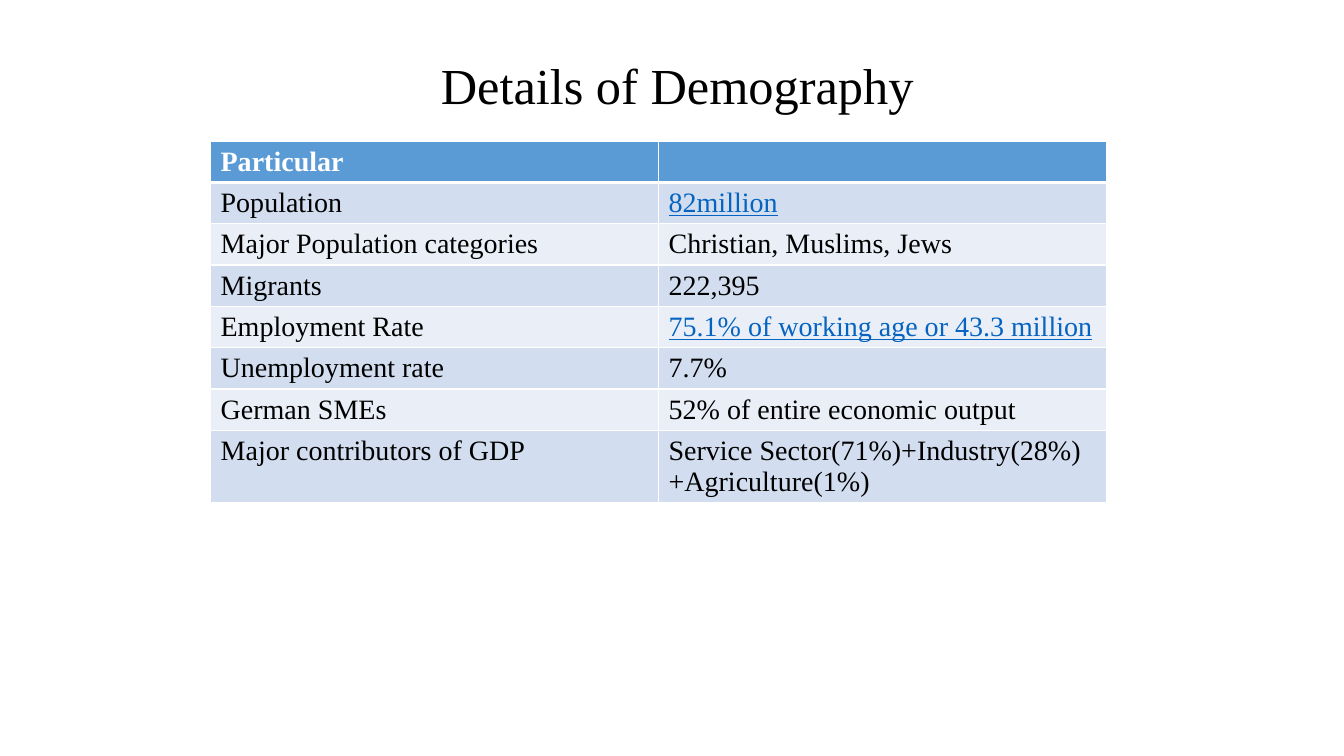
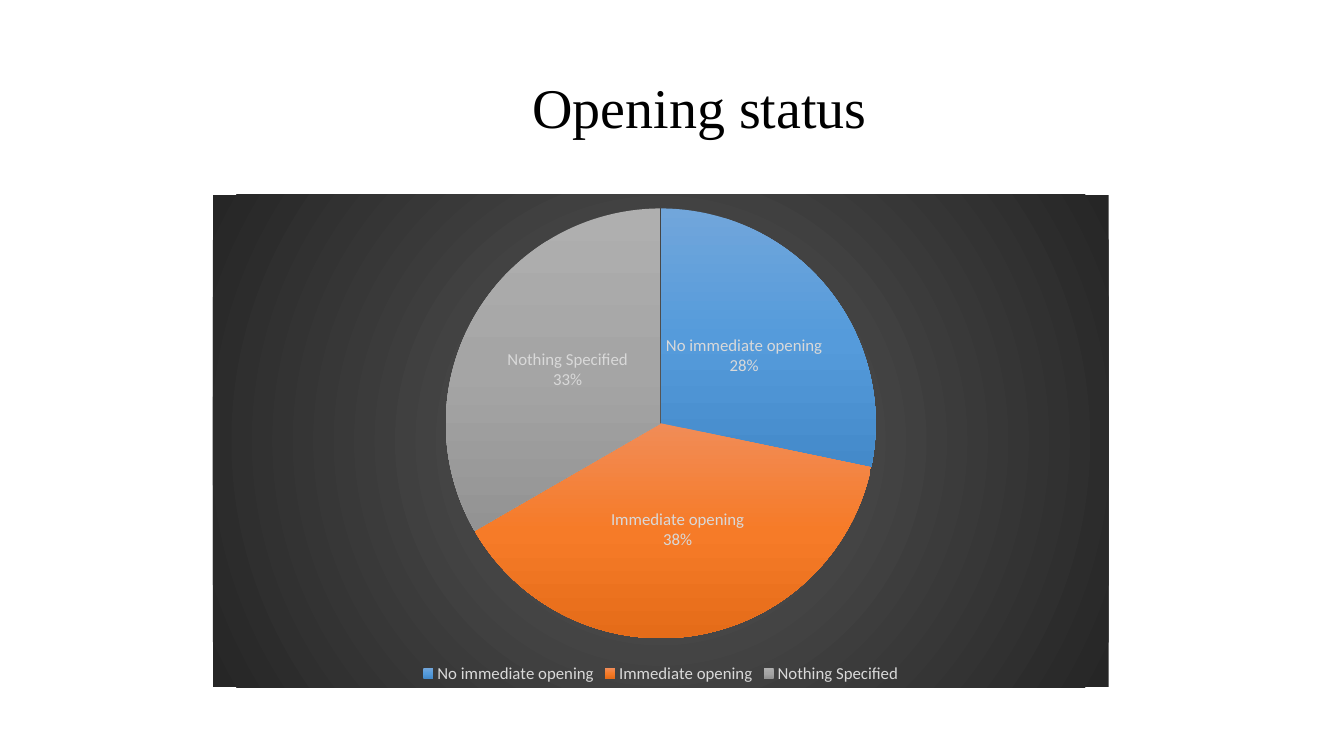
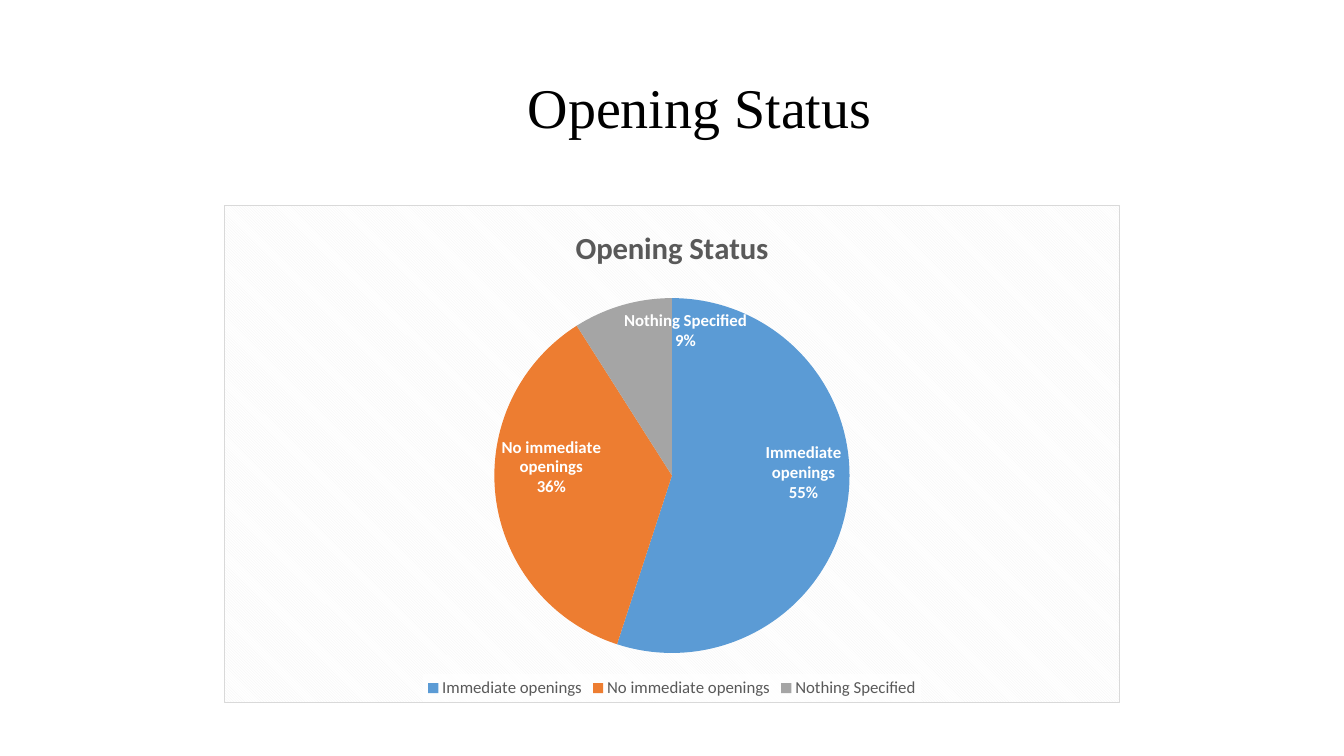
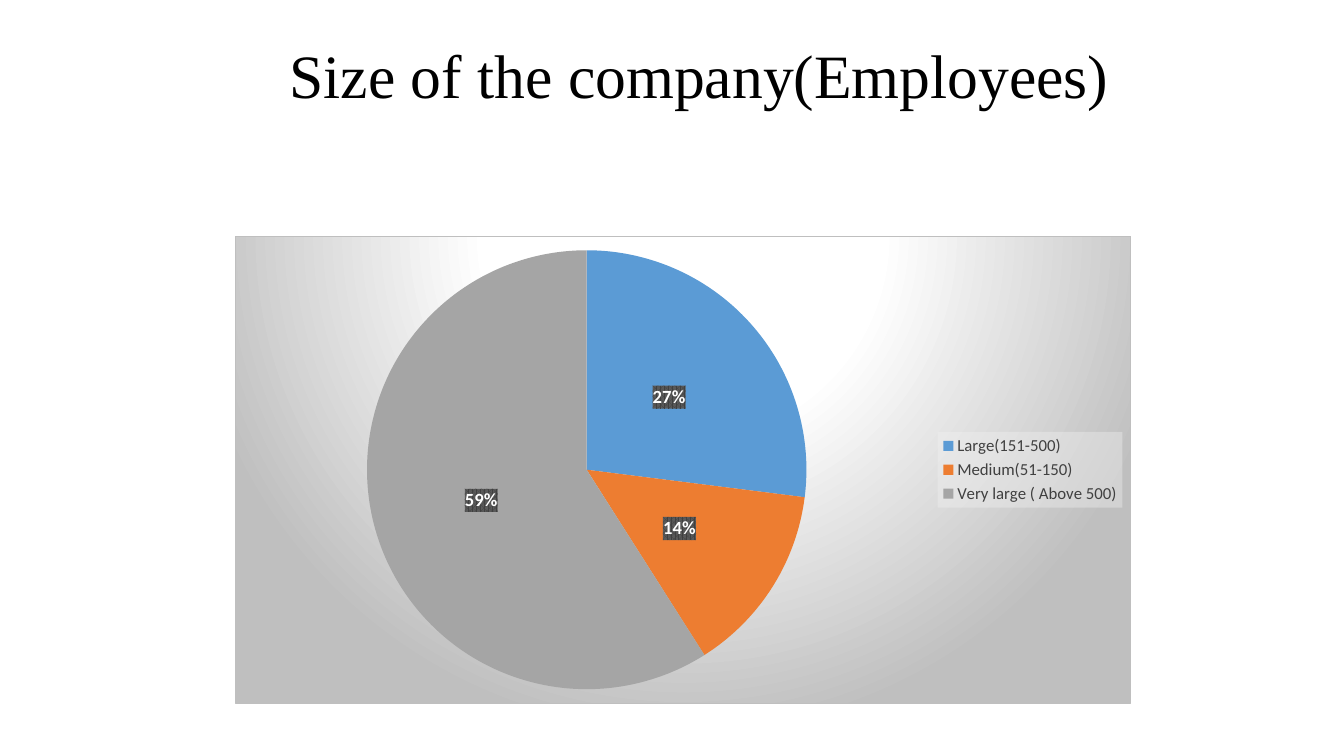
from collections import namedtuple

from pptx import Presentation
from pptx.chart.data import CategoryChartData
from pptx.dml.color import RGBColor
from pptx.enum.chart import XL_CHART_TYPE as ChartType
from pptx.enum.chart import XL_LABEL_POSITION as LabelPosition
from pptx.enum.chart import XL_LEGEND_POSITION as LegendPosition
from pptx.enum.text import MSO_ANCHOR, MSO_AUTO_SIZE, PP_ALIGN
from pptx.oxml import parse_xml
from pptx.oxml.ns import qn
from pptx.util import Inches, Pt

Box = namedtuple("Box", "column row columns rows")

SLIDE_WIDTH, SLIDE_HEIGHT = Inches(13.333), Inches(7.5)
COLUMN, ROW = SLIDE_WIDTH / 120, SLIDE_HEIGHT / 75
TITLE_ONLY = 5
SERIF, SANS = "Times New Roman", "Calibri"

BLACK = RGBColor(0x00, 0x00, 0x00)
WHITE = RGBColor(0xFF, 0xFF, 0xFF)
BLUE = RGBColor(0x5B, 0x9B, 0xD5)
ORANGE = RGBColor(0xED, 0x7D, 0x31)
GRAY = RGBColor(0xA5, 0xA5, 0xA5)
LINK_BLUE = RGBColor(0x05, 0x63, 0xC1)
BANDS = (RGBColor(0xD2, 0xDE, 0xEF), RGBColor(0xEA, 0xEF, 0xF7))
CHARCOAL = RGBColor(0x26, 0x26, 0x26)
DARK = RGBColor(0x40, 0x40, 0x40)
SLATE = RGBColor(0x59, 0x59, 0x59)
SILVER = RGBColor(0xBF, 0xBF, 0xBF)
PALE = RGBColor(0xD9, 0xD9, 0xD9)
MIST = RGBColor(0xF2, 0xF2, 0xF2)
GLOSSY_BLUE = (RGBColor(0x71, 0xA6, 0xDB), RGBColor(0x55, 0x9B, 0xDB), RGBColor(0x44, 0x8A, 0xCA))
GLOSSY_ORANGE = (RGBColor(0xF1, 0x8C, 0x57), RGBColor(0xF6, 0x7B, 0x28), RGBColor(0xE5, 0x6C, 0x19))
GLOSSY_GRAY = (RGBColor(0xAF, 0xAF, 0xAF), GRAY, RGBColor(0x93, 0x93, 0x93))

DRAWING = 'xmlns:a="http://schemas.openxmlformats.org/drawingml/2006/main"'
CHART = 'xmlns:c="http://schemas.openxmlformats.org/drawingml/2006/chart"'

DEMOGRAPHY = (
    ("Particular", ""),
    ("Population", "82million"),
    ("Major Population categories", "Christian, Muslims, Jews"),
    ("Migrants", "222,395"),
    ("Employment Rate", "75.1% of working age or 43.3 million"),
    ("Unemployment rate", "7.7%"),
    ("German SMEs", "52% of entire economic output"),
    ("Major contributors of GDP", "Service Sector(71%)+Industry(28%)+Agriculture(1%)"),
)
LINKED = ("82million", "75.1% of working age or 43.3 million")


def place(box):
    """Turn grid columns and rows into left, top, width and height."""
    return (round(box.column * COLUMN), round(box.row * ROW),
            round(box.columns * COLUMN), round(box.rows * ROW))


def style_font(font, name=SANS, size=12, color=BLACK, bold=False, underline=False):
    """Set the look of a font."""
    font.name, font.size, font.bold, font.underline = name, Pt(size), bold, underline
    font.color.rgb = color


def write(frame, text, align=PP_ALIGN.LEFT, spacing=None, **style):
    """Write one formatted paragraph into a text frame."""
    paragraph = frame.paragraphs[0]
    paragraph.alignment = align
    paragraph.line_spacing = spacing
    run = paragraph.add_run()
    run.text = text
    style_font(run.font, **style)


def solid(color, alpha=100):
    """Describe a solid fill, opaque to the given percentage."""
    return (f'<a:solidFill><a:srgbClr val="{color}"><a:alpha val="{alpha * 1000}"/>'
            '</a:srgbClr></a:solidFill>')


def pattern(preset, front, back):
    """Describe a two-colour pattern fill."""
    return (f'<a:pattFill prst="{preset}"><a:fgClr><a:srgbClr val="{front}"/></a:fgClr>'
            f'<a:bgClr><a:srgbClr val="{back}"/></a:bgClr></a:pattFill>')


def gradient(stops, focus=None):
    """Describe a gradient: downward, or circular around a focus."""
    marks = "".join(f'<a:gs pos="{share * 1000}"><a:srgbClr val="{color}"/></a:gs>'
                    for share, color in stops)
    if focus:
        sides = " ".join(f'{side}="{share * 1000}"' for side, share in zip("ltrb", focus))
        course = f'<a:path path="circle"><a:fillToRect {sides}/></a:path>'
    else:
        course = '<a:lin ang="5400000" scaled="0"/>'
    return f'<a:gradFill rotWithShape="1"><a:gsLst>{marks}</a:gsLst>{course}</a:gradFill>'


def chart_properties(fill, border=None):
    """Build the fill and outline element of a chart part."""
    outline = (f'<a:ln w="{Pt(0.75)}">{solid(border)}</a:ln>' if border
               else '<a:ln><a:noFill/></a:ln>')
    return parse_xml(f'<c:spPr {CHART} {DRAWING}>{fill}{outline}</c:spPr>')


def border_cell(cell, **widths):
    """Draw white cell borders, with widths in points by side tag."""
    properties = cell._tc.get_or_add_tcPr()
    for index, (side, width) in enumerate(widths.items()):
        properties.insert(index, parse_xml(
            f'<a:{side} {DRAWING} w="{Pt(width)}">{solid(WHITE)}</a:{side}>'))


def add_titled_slide(presentation, title, box, size):
    """Add a slide with a centred serif title."""
    slide = presentation.slides.add_slide(presentation.slide_layouts[TITLE_ONLY])
    shape = slide.shapes.title
    shape.left, shape.top, shape.width, shape.height = place(box)
    frame = shape.text_frame
    frame.auto_size = MSO_AUTO_SIZE.NONE
    frame.vertical_anchor = MSO_ANCHOR.MIDDLE
    write(frame, title, align=PP_ALIGN.CENTER, spacing=0.9, name=SERIF, size=size)
    return slide


def add_banded_table(slide, box, rows, linked):
    """Add a table with a header row and alternating bands."""
    table = slide.shapes.add_table(len(rows), len(rows[0]), *place(box)).table
    for index, texts in enumerate(rows):
        header = index == 0
        for column, text in enumerate(texts):
            cell = table.cell(index, column)
            cell.fill.solid()
            cell.fill.fore_color.rgb = BLUE if header else BANDS[(index - 1) % 2]
            border_cell(cell, lnL=1, lnR=1, lnT=3 if index == 1 else 1, lnB=3 if header else 1)
            if text:
                color = WHITE if header else LINK_BLUE if text in linked else BLACK
                write(cell.text_frame, text, name=SERIF, size=20, color=color,
                      bold=header, underline=text in linked)


def add_pie(slide, box, values, slices, background, border=None, title=None):
    """Add a pie chart with one fill per slice on a filled background."""
    data = CategoryChartData()
    data.categories = list(values)
    data.add_series("Series 1", list(values.values()))
    chart = slide.shapes.add_chart(ChartType.PIE, *place(box), data).chart
    style_font(chart.font, size=10)
    chart._chartSpace.find(qn("c:chart")).addnext(chart_properties(background, border))
    chart.has_title = bool(title)
    if title:
        write(chart.chart_title.text_frame, title, align=PP_ALIGN.CENTER,
              size=22, color=SLATE, bold=True)
    plot = chart.plots[0]
    plot.vary_by_categories = True
    for index, fill in enumerate(slices):
        point = plot.series[0].points[index]
        point.format.fill.background()
        old = point.format.fill._xPr
        old.getparent().replace(old, chart_properties(fill))
    return chart


def style_legend(chart, position, color, fill=None):
    """Show the legend beside the pie, optionally on a filled panel."""
    chart.has_legend = True
    legend = chart.legend
    legend.position = position
    legend.include_in_layout = False
    style_font(legend.font, color=color)
    if fill:
        legend._element.find(qn("c:txPr")).addprevious(chart_properties(fill))


def style_labels(chart, position, names=True, fill=None, **style):
    """Label the slices with percentages and, if wanted, their names."""
    labels = chart.plots[0].series[0].data_labels
    labels.show_percentage = True
    labels.show_category_name = names
    labels.show_value = False
    labels.show_legend_key = False
    labels.number_format, labels.number_format_is_linked = "0%", False
    labels.position = position
    style_font(labels.font, **style)
    if fill:
        labels._element.find(qn("c:txPr")).addprevious(chart_properties(fill))


def add_demography_slide(presentation):
    """Add the table of demographic details."""
    slide = add_titled_slide(presentation, "Details of Demography",
                             Box(8.73, 4.9, 103.5, 7.7), 36)
    add_banded_table(slide, Box(18.8, 14, 80, 32.8), DEMOGRAPHY, LINKED)


def add_dark_status_slide(presentation):
    """Add the opening status pie on a dark background."""
    slide = add_titled_slide(presentation, "Opening status", Box(10.71, 3.7, 103.5, 14.5), 40)
    values = {"No immediate opening": 28, "Immediate opening": 38, "Nothing Specified": 33}
    slices = [gradient(zip((0, 50, 100), colors))
              for colors in (GLOSSY_BLUE, GLOSSY_ORANGE, GLOSSY_GRAY)]
    backdrop = gradient(((0, SLATE), (100, CHARCOAL)), focus=(50, 50, 50, 50))
    chart = add_pie(slide, Box(19, 19.3, 80, 48.9), values, slices, backdrop)
    style_legend(chart, LegendPosition.BOTTOM, PALE)
    style_labels(chart, LabelPosition.CENTER, color=PALE)


def add_light_status_slide(presentation):
    """Add the opening status pie on a striped background."""
    slide = add_titled_slide(presentation, "Opening Status", Box(10.71, 3.7, 103.5, 14.5), 40)
    values = {"Immediate openings": 55, "No immediate openings": 36, "Nothing Specified": 9}
    slices = [solid(color) for color in (BLUE, ORANGE, GRAY)]
    chart = add_pie(slide, Box(20, 20.3, 80, 49.4), values, slices,
                    pattern("dkDnDiag", MIST, WHITE), border=PALE, title="Opening Status")
    style_legend(chart, LegendPosition.BOTTOM, SLATE, fill=solid(WHITE, 78))
    style_labels(chart, LabelPosition.INSIDE_END, color=WHITE, bold=True)


def add_company_size_slide(presentation):
    """Add the company size pie with its legend on the right."""
    slide = add_titled_slide(presentation, "Size of the company(Employees)",
                             Box(10.71, 3.7, 103.5, 8.2), 44)
    values = {"Large(151-500)": 27, "Medium(51-150)": 14, "Very large ( Above 500)": 59}
    slices = [solid(color) for color in (BLUE, ORANGE, GRAY)]
    backdrop = gradient(((0, WHITE), (39, WHITE), (100, SILVER)), focus=(50, -80, 50, 180))
    chart = add_pie(slide, Box(21, 23.4, 80, 46.4), values, slices, backdrop, border=SILVER)
    style_legend(chart, LegendPosition.RIGHT, DARK, fill=solid(MIST, 39))
    style_labels(chart, LabelPosition.CENTER, names=False, size=13.3, color=WHITE, bold=True,
                 fill=pattern("pct75", DARK, SLATE))


def main():
    """Build and save the presentation."""
    presentation = Presentation()
    presentation.slide_width, presentation.slide_height = SLIDE_WIDTH, SLIDE_HEIGHT
    add_demography_slide(presentation)
    add_dark_status_slide(presentation)
    add_light_status_slide(presentation)
    add_company_size_slide(presentation)
    presentation.save("out.pptx")


if __name__ == "__main__":
    main()
